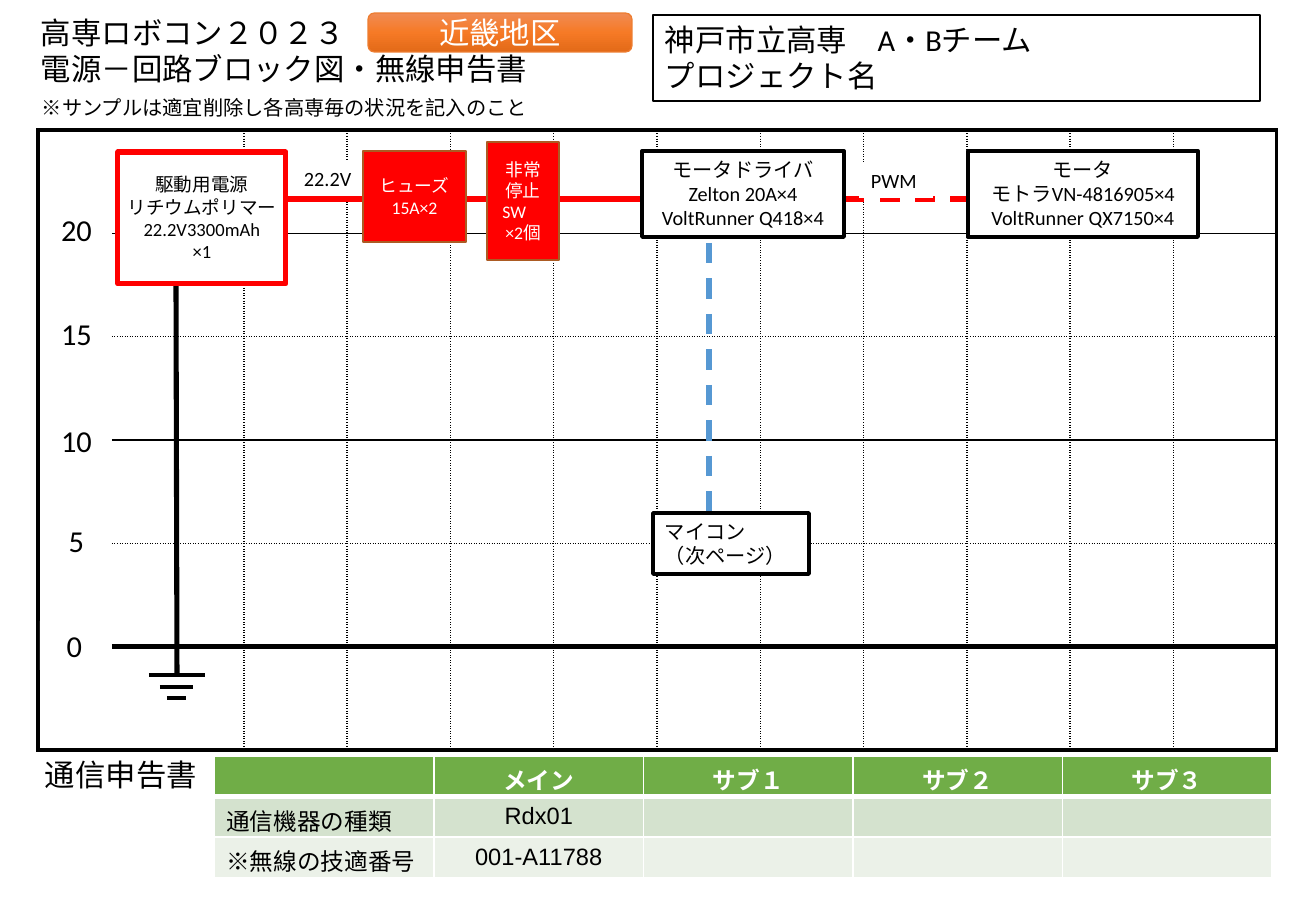
from copy import deepcopy

from lxml import etree
from pptx import Presentation
from pptx.dml.color import RGBColor
from pptx.enum.dml import MSO_LINE
from pptx.enum.shapes import MSO_CONNECTOR, MSO_SHAPE
from pptx.enum.text import MSO_ANCHOR, PP_ALIGN
from pptx.oxml.ns import qn
from pptx.util import Pt

PX = 914400 / 121.5
RECT, ROUND = MSO_SHAPE.RECTANGLE, MSO_SHAPE.ROUNDED_RECTANGLE
LEFT, MID = PP_ALIGN.LEFT, PP_ALIGN.CENTER
TOP, CENTER = MSO_ANCHOR.TOP, MSO_ANCHOR.MIDDLE
DASH = MSO_LINE.DASH
BLACK, WHITE = RGBColor(0, 0, 0), RGBColor(255, 255, 255)
RED, RUST = RGBColor(255, 0, 0), RGBColor(0xAC, 0x5B, 0x23)
BLUE, ORANGE = RGBColor(0x56, 0x98, 0xD3), RGBColor(0xED, 0x7D, 0x31)
GLOW = [RGBColor(0xF0, 0x8B, 0x54), RGBColor(0xF6, 0x7A, 0x26),
        RGBColor(0xE3, 0x6A, 0x18)]
BANDS = [RGBColor(0x70, 0xAD, 0x47), RGBColor(0xD4, 0xE2, 0xCE),
         RGBColor(0xEB, 0xF1, 0xE8)]

# left, top, width, height, size, lines
TITLES = [
    (29, 8, 510, 89, 18, ["高専ロボコン２０２３", "電源－回路ブロック図・無線申告書"]),
    (30, 89, 521, 36, 12, ["※サンプルは適宜削除し各高専毎の状況を記入のこと"]),
    (33, 750, 177, 49, 18, ["通信申告書"]),
]
# text, left, top
SCALE = [("20", 42, 205), ("15", 42, 309), ("10", 42, 416),
         ("5", 42, 516), ("0", 40, 621)]
# from x, y, to x, y, colour, points, dash
WIRES = [
    (844, 199, 968, 199, RED, 3, DASH),
    (280, 199, 653, 199, RED, 3, None),
    (176, 283, 177, 675, BLACK, 3, None),
    (149, 675, 205, 675, BLACK, 2.25, None),
    (160, 687, 193, 687, BLACK, 2.25, None),
    (167, 698, 186, 698, BLACK, 2.25, None),
    (709, 243, 709, 513, BLUE, 3, DASH),
]
# left, top, width, height, fill, line, points, size, align, anchor, lines
BLOCKS = [
    (653, 15, 607, 86, WHITE, BLACK, 1, 18, LEFT, TOP,
     ["神戸市立高専　A・Bチーム", "プロジェクト名"]),
    (292, 160, 74, 36, WHITE, None, 0, 12, LEFT, TOP, ["22.2V"]),
    (363, 151, 103, 91, RED, RUST, 1, 10.5, MID, CENTER, ["ヒューズ15A×2"]),
    (487, 142, 72, 118, RED, RUST, 1, 10.5, MID, CENTER,
     ["非常停止SW　×2個"]),
    (642, 151, 202, 86, WHITE, BLACK, 2.25, 12, MID, TOP,
     ["モータドライバ", "Zelton 20A×4", "VoltRunner Q418×4"]),
    (968, 151, 230, 86, WHITE, BLACK, 2.25, 12, MID, TOP,
     ["モータ", "モトラVN-4816905×4", "VoltRunner QX7150×4"]),
    (859, 162, 74, 36, WHITE, None, 0, 12, LEFT, TOP, ["PWM"]),
    (653, 513, 156, 61, WHITE, BLACK, 2.25, 12, LEFT, TOP,
     ["マイコン", "（次ページ）"]),
]
POWER = (118, 152, 168, 132, WHITE, RED, 3, 11, MID, CENTER,
         ["駆動用電源", "リチウムポリマー", "22.2V3300mAh", "×1"])
BADGE = (368, 13, 264, 39, ORANGE, ORANGE, 0.75, 18, MID, CENTER, ["近畿地区"])
RADIO = [
    ["", "メイン", "サブ１", "サブ２", "サブ３"],
    ["通信機器の種類", "Rdx01", "", "", ""],
    ["※無線の技適番号", "001-A11788", "", "", ""],
]
# Rules of the block grid as (points, dash)
FRAME, THIN, DOT, BASE = (2.25, "solid"), (1, "solid"), (1, "sysDot"), (3, "solid")
LEVELS = [FRAME, THIN, DOT, THIN, DOT, BASE, FRAME]


def px(*vals):
    """Turn pixels into EMU."""
    return [round(v * PX) for v in vals]


def write(frame, lines, size, color=BLACK, align=LEFT, font="Calibri", bold=False):
    """Fill a text frame, one paragraph a line."""
    frame.word_wrap = True
    for i, line in enumerate(lines):
        para = frame.add_paragraph() if i else frame.paragraphs[0]
        para.text, para.alignment = line, align
        para.font.size, para.font.name = Pt(size), font
        para.font.bold, para.font.color.rgb = bold, color


def block(left, top, wide, high, fill, line, pts, size, align, anchor, lines,
          kind=RECT):
    """Add a filled box with text."""
    box = slide.shapes.add_shape(kind, *px(left, top, wide, high))
    box.shadow.inherit = False
    box.fill.solid()
    box.fill.fore_color.rgb = fill
    if line is None:
        box.line.fill.background()
    else:
        box.line.color.rgb, box.line.width = line, Pt(pts)
    box.text_frame.vertical_anchor = anchor
    write(box.text_frame, lines, size, BLACK if fill == WHITE else WHITE, align)
    return box


def wire(x1, y1, x2, y2, color, pts, dash):
    """Add a straight line without shadow."""
    link = slide.shapes.add_connector(MSO_CONNECTOR.STRAIGHT, *px(x1, y1, x2, y2))
    link.line.color.rgb, link.line.width = color, Pt(pts)
    if dash:
        link.line.dash_style = dash
    etree.SubElement(link._element.spPr, qn("a:effectLst"))


def edge(cell, side, rule, color):
    """Draw one cell border, or none if there is no rule."""
    line = etree.SubElement(cell._tc.get_or_add_tcPr(), qn("a:ln" + side))
    if rule is None:
        etree.SubElement(line, qn("a:noFill"))
        return
    line.set("w", str(Pt(rule[0])))
    fill = etree.SubElement(line, qn("a:solidFill"))
    etree.SubElement(fill, qn("a:srgbClr"), val=str(color))
    etree.SubElement(line, qn("a:prstDash"), val=rule[1])


def paint(cell, rules, color, fill):
    """Set the borders and fill of a cell; rules go left, right, top, bottom."""
    for side, rule in zip("LRTB", rules):
        edge(cell, side, rule, color)
    cell.fill.solid()
    cell.fill.fore_color.rgb = fill


def table(left, top, cols, rows):
    """Add a table with the given column widths and row heights."""
    spot = px(left, top, sum(cols), sum(rows))
    grid = slide.shapes.add_table(len(rows), len(cols), *spot).table
    for col, wide in zip(grid.columns, px(*cols)):
        col.width = wide
    for row, high in zip(grid.rows, px(*rows)):
        row.height = high
    return grid


deck = Presentation()
deck.slide_width, deck.slide_height = px(1316, 911)
slide = deck.slides.add_slide(deck.slide_layouts[6])

cols = [74, 132] + [(1239 - 74 - 132) / 10] * 10
walls = [FRAME, None] + [DOT] * 10 + [FRAME]
grid = table(38, 130, cols, [620 / 6] * 6)
for r in range(6):
    for c in range(12):
        above, below = LEVELS[r:r + 2]
        if c == 0:
            above, below = (above if r == 0 else None), (below if r == 5 else None)
        paint(grid.cell(r, c), (walls[c], walls[c + 1], above, below), BLACK, WHITE)

for text, left, top in SCALE:
    block(left, top, 69, 49, WHITE, None, 0, 18, MID, CENTER, [text])
for left, top, wide, high, size, lines in TITLES:
    box = slide.shapes.add_textbox(*px(left, top, wide, high))
    write(box.text_frame, lines, size)
for item in WIRES:
    wire(*item)
for item in BLOCKS:
    block(*item)

frame = block(*POWER).text_frame
frame.margin_left = frame.margin_right = px(5)[0]
frame.margin_top = frame.margin_bottom = px(2)[0]

badge = block(*BADGE, kind=ROUND)
badge.fill.gradient()
badge.fill.gradient_angle = 270
stops = badge._element.spPr.find(".//" + qn("a:gsLst"))
stops.insert(1, deepcopy(stops[0]))
for i, stop in enumerate(badge.fill.gradient_stops):
    stop.color.rgb, stop.position = GLOW[i], i / 2

radio = table(214, 756, [220] + [209.5] * 4, [40.5] * 3)
for r, row in enumerate(RADIO):
    for c, text in enumerate(row):
        cell = radio.cell(r, c)
        above, below = (BASE if r == 1 else THIN), (BASE if r == 0 else THIN)
        paint(cell, (THIN, THIN, above, below), WHITE, BANDS[r])
        write(cell.text_frame, [text], 14, BLACK if r else WHITE,
              MID if c else LEFT, "Arial", r == 0)
number = radio.cell(2, 1)
number.vertical_anchor = CENTER
number.margin_left = number.margin_right = 0
number.margin_top = number.margin_bottom = 0

deck.save("out.pptx")
